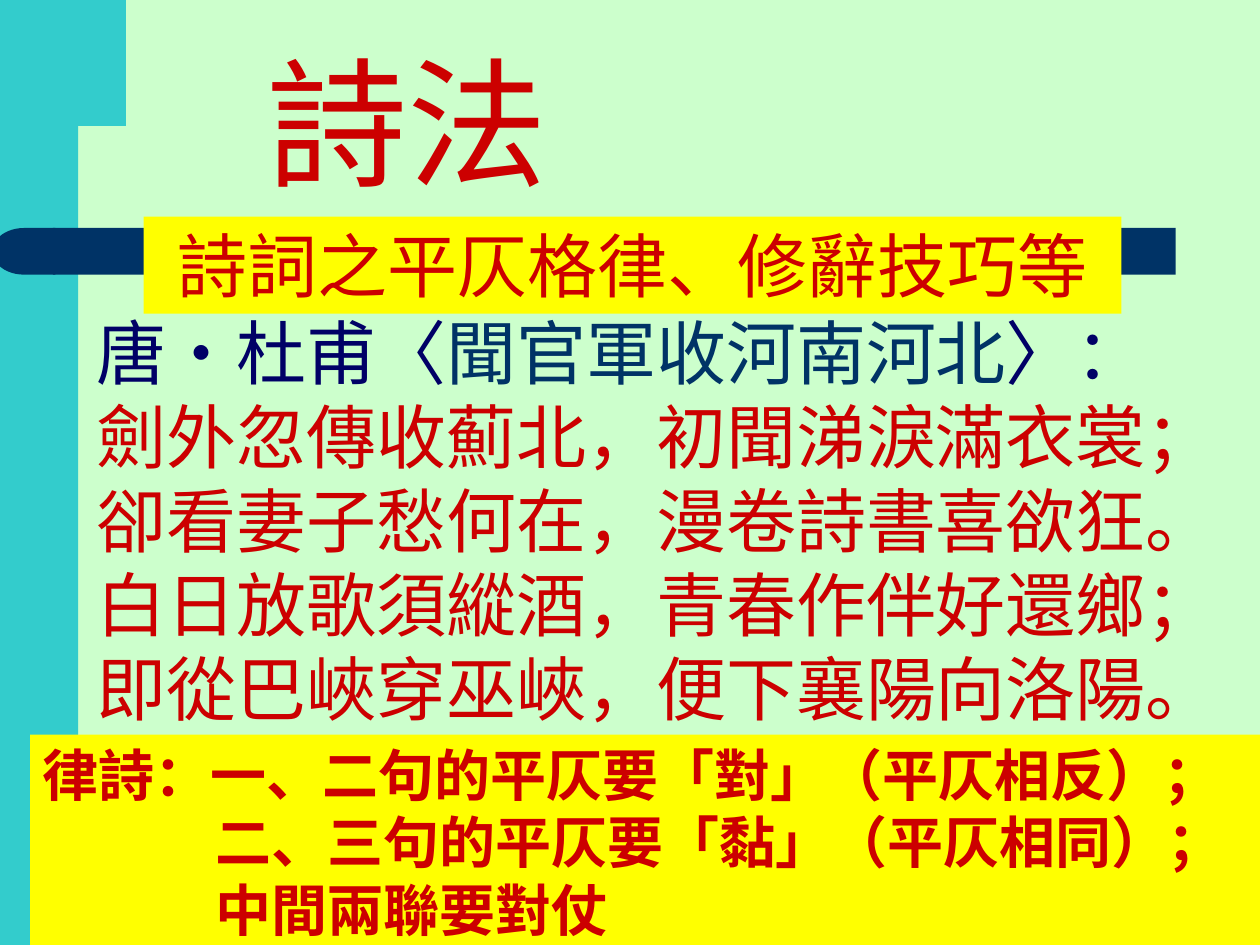
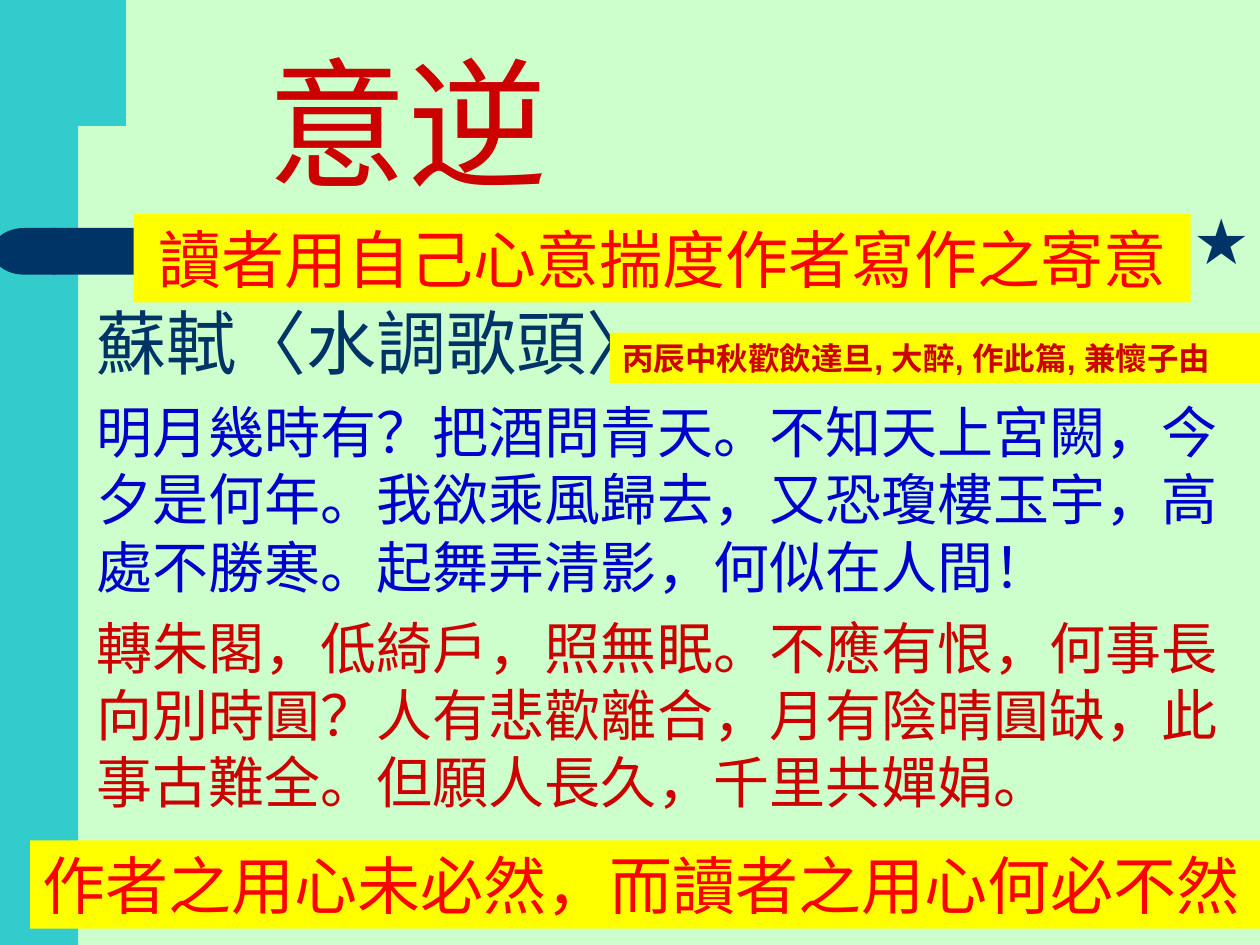
import math

from lxml import etree
from pptx import Presentation
from pptx import util as u
from pptx.dml.color import RGBColor
from pptx.enum import shapes, text
from pptx.oxml.ns import qn

MINT = RGBColor(0xCC, 0xFF, 0xCC)
TEAL = RGBColor(0x33, 0xCC, 0xCC)
NAVY = RGBColor(0x00, 0x33, 0x66)
INDIGO = RGBColor(0x00, 0x00, 0x66)
BLUE = RGBColor(0x00, 0x00, 0xCC)
CRIMSON = RGBColor(0xCC, 0x00, 0x00)
RED = RGBColor(0xFF, 0x00, 0x00)
YELLOW = RGBColor(0xFF, 0xFF, 0x00)
LATIN = "Arial"
CJK = "Noto Sans CJK JP"
CJK_DOT = "Noto Sans CJK SC"


def paint(sp, color):
    sp.shadow.inherit = False
    sp.fill.solid()
    sp.fill.fore_color.rgb = color
    sp.line.fill.background()


def add_block(s, kind, box, color):
    sp = s.shapes.add_shape(kind, *map(u.Inches, box))
    paint(sp, color)
    return sp


def add_corner(s):
    cx, cy, radius = 0.99, 0.77, 0.38
    arc = [(cx - radius * math.sin(a), cy - radius * math.cos(a))
           for a in (math.radians(d) for d in range(0, 91, 10))]
    outline = [(3.71, 0.39), *arc, (0.61, 0.86), (0.23, 0.86), (0.23, 0)]
    builder = s.shapes.build_freeform(3.71, 0, scale=u.Inches(1))
    builder.add_line_segments(outline)
    sp = builder.convert_to_shape()
    paint(sp, TEAL)
    return sp


def decorate_master(prs, s):
    fill = prs.slide_master.background.fill
    fill.solid()
    fill.fore_color.rgb = MINT
    kinds = shapes.MSO_SHAPE
    side = add_block(s, kinds.RECTANGLE, (0, 0, 0.62, 7.5), TEAL)
    corner = add_corner(s)
    band = add_block(s, kinds.RECTANGLE, (0.42, 1.81, 8.91, 0.37), NAVY)
    cap = add_block(s, kinds.FLOWCHART_DELAY, (-0.06, 1.81, 0.5, 0.37), NAVY)
    cap.element.spPr.find(qn("a:xfrm")).set("flipH", "1")
    tree = prs.slide_master.element.cSld.spTree
    for i, sp in enumerate((side, corner, band, cap)):
        sp.element.nvSpPr.cNvPr.set("id", str(100 + i))
        tree.insert(2 + i, sp.element)


def style(font, size, color, name=LATIN, bold=False):
    font.size = u.Pt(size)
    font.color.rgb = color
    font.name = name
    font.bold = bold


def set_east_asian(r, name=CJK):
    rpr = r.font._element
    ea = etree.Element(qn("a:ea"), typeface=name)
    latin = rpr.find(qn("a:latin"))
    if latin is None:
        rpr.append(ea)
    else:
        latin.addnext(ea)


def add_run(p, words):
    r = p.add_run()
    r.text = words
    set_east_asian(r)
    return r


def set_title(s, words):
    sp = s.shapes.title
    sp.left, sp.top, sp.width, sp.height = map(u.Inches, (2.02, 0.45, 6.04, 1.24))
    tf = sp.text_frame
    tf.vertical_anchor = text.MSO_ANCHOR.BOTTOM
    p = tf.paragraphs[0]
    p.alignment = text.PP_ALIGN.LEFT
    p.line_spacing = 0.9
    style(p.font, 80, CRIMSON)
    add_run(p, words)


def add_text(s, box, wrap=True):
    tf = s.shapes.add_textbox(*map(u.Inches, box)).text_frame
    tf.word_wrap = wrap
    return tf


def add_lines(tf, lines, before=0):
    for i, (words, size, color, name) in enumerate(lines):
        p = tf.paragraphs[0] if i == 0 else tf.add_paragraph()
        if i and before:
            p.space_before = u.Pt(before)
        style(p.font, size, color, name)
        add_run(p, words)


def add_note(s, box, words, size, color, bold=False, center=False, hang=0, wrap=True):
    tf = add_block(s, shapes.MSO_SHAPE.RECTANGLE, box, YELLOW).text_frame
    tf.word_wrap = wrap
    tf.vertical_anchor = text.MSO_ANCHOR.TOP
    p = tf.paragraphs[0]
    p.alignment = text.PP_ALIGN.CENTER if center else text.PP_ALIGN.LEFT
    if hang:
        ppr = p._p.get_or_add_pPr()
        ppr.set("marL", str(u.Inches(hang)))
        ppr.set("indent", str(-u.Inches(hang)))
    style(p.font, size, color, bold=bold)
    add_run(p, words)


def build_rules(s):
    set_title(s, "詩法")
    tf = add_text(s, (0.67, 2.41, 9.21, 3.54))
    p = tf.paragraphs[0]
    for words, color, name in (("唐", INDIGO, CJK), ("•", INDIGO, CJK_DOT),
                               ("杜甫〈", INDIGO, CJK),
                               ("聞官軍收河南河北", NAVY, CJK),
                               ("〉：", INDIGO, CJK)):
        style(add_run(p, words).font, 40, color, name)
    for verse in ("劍外忽傳收薊北，初聞涕淚滿衣裳；",
                  "卻看妻子愁何在，漫卷詩書喜欲狂。",
                  "白日放歌須縱酒，青春作伴好還鄉；",
                  "即從巴峽穿巫峽，便下襄陽向洛陽。"):
        p = tf.add_paragraph()
        style(p.font, 40, CRIMSON, CJK)
        add_run(p, verse)
    add_note(s, (1.14, 1.72, 7.76, 0.77), "詩詞之平仄格律、修辭技巧等", 40, CRIMSON,
             center=True)
    add_note(s, (0.24, 5.83, 9.8, 1.7),
             "律詩：一、二句的平仄要「對」（平仄相反）；"
             "二、三句的平仄要「黏」（平仄相同）；中間兩聯要對仗",
             32, CRIMSON, bold=True, hang=1.37)


def build_reading(s):
    set_title(s, "意逆")
    add_lines(add_text(s, (0.67, 2.33, 9.29, 4.33)), (
        ("蘇軾〈水調歌頭〉", 40, NAVY, LATIN),
        ("明月幾時有？把酒問青天。不知天上宮闕，今夕是何年。"
         "我欲乘風歸去，又恐瓊樓玉宇，高處不勝寒。起舞弄清影，何似在人間！",
         32, BLUE, CJK),
        ("轉朱閣，低綺戶，照無眠。不應有恨，何事長向別時圓？"
         "人有悲歡離合，月有陰晴圓缺，此事古難全。但願人長久，千里共嬋娟。",
         32, CRIMSON, CJK)), before=8)
    add_note(s, (1.06, 1.7, 8.39, 0.7), "讀者用自己心意揣度作者寫作之寄意", 36, RED,
             center=True)
    add_note(s, (0.24, 6.67, 9.8, 0.7), "作者之用心未必然，而讀者之用心何必不然", 36, RED)
    add_note(s, (4.84, 2.64, 5.22, 0.4), "丙辰中秋歡飲達旦, 大醉, 作此篇, 兼懷子由",
             18, CRIMSON, bold=True, wrap=False)
    add_lines(add_text(s, (9.37, 1.55, 0.65, 0.7), wrap=False),
              (("★", 36, NAVY, LATIN),))


def main():
    prs = Presentation()
    prs.slide_width, prs.slide_height = u.Inches(10), u.Inches(7.5)
    title_only = prs.slide_layouts[5]
    rules, reading = (prs.slides.add_slide(title_only) for _ in range(2))
    decorate_master(prs, rules)
    build_rules(rules)
    build_reading(reading)
    prs.save("out.pptx")


if __name__ == "__main__":
    main()
